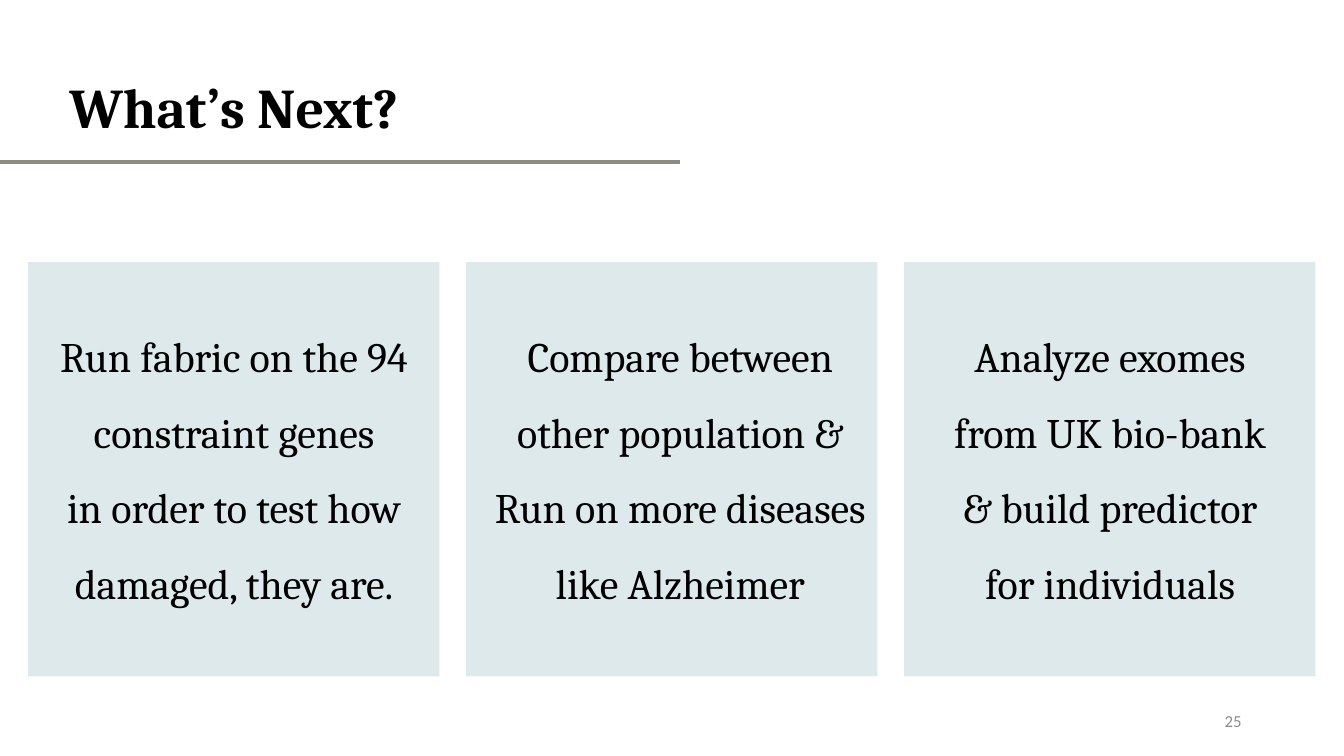
from dataclasses import dataclass

from lxml.etree import SubElement
from pptx import Presentation
from pptx.dml.color import RGBColor
from pptx.enum.shapes import MSO_CONNECTOR as Connector, MSO_SHAPE as Shape
from pptx.enum.text import MSO_ANCHOR as Anchor, MSO_AUTO_SIZE as AutoSize, PP_ALIGN as Align
from pptx.oxml.ns import qn
from pptx.util import Pt


@dataclass(frozen=True)
class Theme:
    ink: str = "000000"
    card: str = "DEE9EB"
    rule: str = "8E8A7F"
    muted: str = "8C8C8C"
    serif: str = "Cambria"
    sans: str = "Calibri"
    title: int = 40
    body: int = 30
    small: int = 12


THEME = Theme()

STEPS = [
    (12.2, 270, ["Run fabric on the 94 constraint genes",
                 "in order to test how damaged, they are."]),
    (3.7, 298.8, ["Compare between other population & Run on more diseases like Alzheimer"]),
    (25.2, 244, ["Analyze exomes from UK bio-bank",
                 "& build predictor for individuals"]),
]


def add_text(page, lines, area, *, size, color=THEME.ink, font=THEME.serif, bold=False,
             align=Align.LEFT, anchor=Anchor.TOP, spacing=1.0, grow=True):
    box = page.shapes.add_textbox(*map(Pt, area))
    frame = box.text_frame
    frame.word_wrap = True
    frame.auto_size = AutoSize.SHAPE_TO_FIT_TEXT if grow else AutoSize.NONE
    frame.vertical_anchor = anchor
    for index, line in enumerate(lines):
        para = frame.paragraphs[0] if index == 0 else frame.add_paragraph()
        para.alignment = align
        para.line_spacing = spacing
        span = para.add_run()
        span.text = line
        span.font.name = font
        span.font.size = Pt(size)
        span.font.bold = bold
        span.font.color.rgb = RGBColor.from_string(color)


def add_header(page, left, top, width, height):
    add_text(page, ["What’s Next?"], (left + 42.5, top, 552, 55.4), size=THEME.title, bold=True)
    bottom = top + height
    rule = page.shapes.add_connector(
        Connector.STRAIGHT, Pt(left), Pt(bottom), Pt(left + width), Pt(bottom))
    rule.line.color.rgb = RGBColor.from_string(THEME.rule)
    rule.line.width = Pt(3)
    SubElement(rule._element.spPr, qn("a:effectLst"))


def add_card(page, left, top, width, height, step):
    card = page.shapes.add_shape(Shape.RECTANGLE, Pt(left), Pt(top), Pt(width), Pt(height))
    card.shadow.inherit = False
    card.fill.solid()
    card.fill.fore_color.rgb = RGBColor.from_string(THEME.card)
    card.line.fill.background()
    indent, text_width, lines = step
    add_text(page, lines, (left + indent, top + 27.4, text_width, 218.9),
             size=THEME.body, align=Align.CENTER, spacing=1.5)


def add_steps(page, left, top, width, height):
    gap = 19
    card_width = (width - gap * (len(STEPS) - 1)) / len(STEPS)
    for index, step in enumerate(STEPS):
        add_card(page, left + index * (card_width + gap), top, card_width, height, step)


def add_page_number(page, left, top, width, height):
    add_text(page, ["25"], (left, top, width, height), size=THEME.small, color=THEME.muted,
             font=THEME.sans, align=Align.RIGHT, anchor=Anchor.MIDDLE, grow=False)


def main():
    deck = Presentation()
    deck.slide_width, deck.slide_height = Pt(960), Pt(540)
    page = deck.slides.add_slide(deck.slide_layouts[6])
    add_header(page, 0, 48.2, 485.6, 67.7)
    add_steps(page, 20, 187.2, 919.6, 296)
    add_page_number(page, 678, 500.5, 216, 28.8)
    deck.save("out.pptx")


if __name__ == "__main__":
    main()
